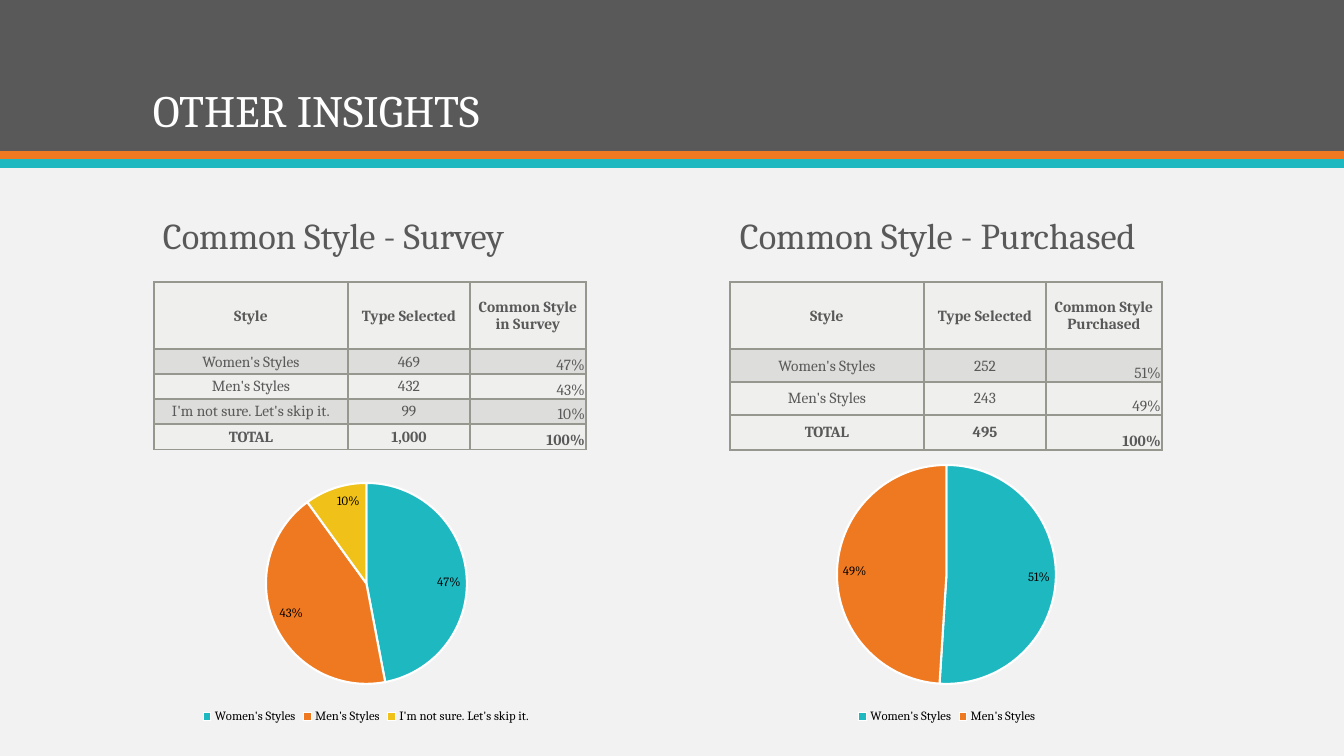
from dataclasses import dataclass

from lxml import etree
from pptx import Presentation
from pptx.chart.data import CategoryChartData
from pptx.dml.color import RGBColor
from pptx.enum.chart import XL_CHART_TYPE, XL_LABEL_POSITION, XL_LEGEND_POSITION
from pptx.enum.shapes import MSO_SHAPE
from pptx.enum.text import MSO_ANCHOR, PP_ALIGN
from pptx.oxml.ns import qn
from pptx.util import Pt

PIE = XL_CHART_TYPE.PIE
INSIDE = XL_LABEL_POSITION.INSIDE_END
UNDER = XL_LEGEND_POSITION.BOTTOM
RECT = MSO_SHAPE.RECTANGLE
MIDDLE, BOTTOM = MSO_ANCHOR.MIDDLE, MSO_ANCHOR.BOTTOM
LEFT, CENTER, RIGHT = PP_ALIGN.LEFT, PP_ALIGN.CENTER, PP_ALIGN.RIGHT
SCALE = 914400 / 100.8
WIDE, HIGH = 1344, 756


@dataclass(frozen=True)
class Theme:
    font: str = "Cambria"
    back: str = "F2F2F2"
    dark: str = "595959"
    white: str = "FFFFFF"
    black: str = "000000"
    teal: str = "1EB8C1"
    orange: str = "EF7920"
    yellow: str = "EFC119"
    light: str = "EFEFEE"
    band: str = "DDDDDB"
    rule: str = "969890"
    title: int = 32
    head: int = 26
    cell: int = 11
    chart: int = 10
    label: int = 9


def px(*sizes):
    return [round(size * SCALE) for size in sizes]


def rgb(color):
    return RGBColor.from_string(color)


class Deck:
    def __init__(self, theme):
        self.theme = theme
        self.show = Presentation()
        self.show.slide_width, self.show.slide_height = px(WIDE, HIGH)
        self.slide = self.show.slides.add_slide(self.show.slide_layouts[6])
        self.shapes = self.slide.shapes
        self.paint(self.slide.background.fill, theme.back)

    def paint(self, fill, color):
        fill.solid()
        fill.fore_color.rgb = rgb(color)

    def style(self, font, size, color, bold=False):
        font.name, font.size, font.bold = self.theme.font, Pt(size), bold
        font.color.rgb = rgb(color)

    def bar(self, top, height, color):
        shape = self.shapes.add_shape(RECT, *px(0, top, WIDE, height))
        shape.shadow.inherit = False
        self.paint(shape.fill, color)
        shape.line.fill.background()

    def text(self, box, words, size, color, anchor):
        frame = self.shapes.add_textbox(*px(*box)).text_frame
        frame.word_wrap = True
        frame.vertical_anchor = anchor
        para = frame.paragraphs[0]
        para.text = words
        para.alignment = LEFT
        para.line_spacing = 0.9
        self.style(para.font, size, color)

    def edges(self, cell, top):
        props = cell._tc.get_or_add_tcPr()
        for spot, side in enumerate(("L", "R", "T", "B")):
            width = top if side == "T" else 1
            line = etree.Element(qn(f"a:ln{side}"), w=str(Pt(width)))
            fill = etree.SubElement(line, qn("a:solidFill"))
            etree.SubElement(fill, qn("a:srgbClr"), val=self.theme.rule)
            props.insert(spot, line)

    def table(self, left, top, cols, heights, rows):
        box = px(left, top, sum(cols), sum(heights))
        grid = self.shapes.add_table(len(rows), len(cols), *box).table
        grid.first_row = grid.horz_banding = False
        for col, width in zip(grid.columns, px(*cols)):
            col.width = width
        last = len(rows) - 1
        for r, (row, height) in enumerate(zip(rows, px(*heights))):
            grid.rows[r].height = height
            total = r == last
            shade = self.theme.band if r % 2 and not total else self.theme.light
            for c, words in enumerate(row):
                value = r > 0 and c == 2
                cell = grid.cell(r, c)
                cell.margin_left, cell.margin_top, cell.margin_right = px(1, 1, 1)
                cell.margin_bottom = 0
                cell.vertical_anchor = BOTTOM if value else MIDDLE
                para = cell.text_frame.paragraphs[0]
                para.text = words
                para.alignment = RIGHT if value else CENTER
                self.style(para.font, self.theme.cell, self.theme.dark, r == 0 or total)
                self.paint(cell.fill, shade)
                self.edges(cell, 2 if total else 1)

    def place(self, chart, box, disc):
        left, top, width, height = box
        x, y, size = disc
        area = chart._chartSpace.find(".//" + qn("c:plotArea"))
        for old in area.findall(qn("c:layout")):
            area.remove(old)
        layout = etree.Element(qn("c:layout"))
        manual = etree.SubElement(layout, qn("c:manualLayout"))
        parts = {
            "layoutTarget": "inner", "xMode": "edge", "yMode": "edge",
            "x": (x - left) / width, "y": (y - top) / height,
            "w": size / width, "h": size / height,
        }
        for name, value in parts.items():
            etree.SubElement(manual, qn(f"c:{name}"), val=str(value))
        area.insert(0, layout)

    def pie(self, box, disc, names, values):
        theme = self.theme
        data = CategoryChartData(number_format="0%")
        data.categories = names
        data.add_series("Series 1", values)
        chart = self.shapes.add_chart(PIE, *px(*box), data).chart
        chart.has_title = False
        self.style(chart.font, theme.chart, theme.dark)
        chart.has_legend = True
        chart.legend.position = UNDER
        chart.legend.include_in_layout = False
        self.style(chart.legend.font, theme.label, theme.black)
        plot = chart.plots[0]
        plot.vary_by_categories = True
        series = plot.series[0]
        for i, color in zip(range(len(names)), (theme.teal, theme.orange, theme.yellow)):
            look = series.points[i].format
            self.paint(look.fill, color)
            look.line.color.rgb = rgb(theme.white)
            look.line.width = Pt(1.5)
        labels = series.data_labels
        labels.show_value = True
        labels.number_format = "0%"
        labels.number_format_is_linked = False
        labels.position = INSIDE
        self.style(labels.font, theme.label, theme.black)
        self.place(chart, box, disc)


def main():
    theme = Theme()
    deck = Deck(theme)
    for top, height, color in (
        (0, 151, theme.dark), (151, 9, theme.orange), (159, 9, theme.teal),
    ):
        deck.bar(top, height, color)
    deck.text((143, 28, 1058, 114), "OTHER INSIGHTS", theme.title, theme.white, BOTTOM)

    panels = (
        ("Survey", "in Survey", 153, 154, (67, 25, 25, 25, 26),
         (("Women's Styles", "469", 0.47), ("Men's Styles", "432", 0.43),
          ("I'm not sure. Let's skip it.", "99", 0.1)),
         "1,000", (103, 451, 526, 277), (266, 483, 201)),
        ("Purchased", "Purchased", 730, 730, (67, 33, 33, 35),
         (("Women's Styles", "252", 0.51), ("Men's Styles", "243", 0.49)),
         "495", (703, 451, 488, 277), (837, 465, 219)),
    )
    for name, tail, left, edge, heights, items, total, box, disc in panels:
        deck.text((left, 191, 504, 93), f"Common Style - {name}",
                  theme.head, theme.dark, MIDDLE)
        rows = [("Style", "Type Selected", f"Common Style\n{tail}")]
        rows += [(style, count, f"{share:.0%}") for style, count, share in items]
        rows.append(("TOTAL", total, "100%"))
        deck.table(edge, 282, (194, 122, 116), heights, rows)
        names, _, shares = zip(*items)
        deck.pie(box, disc, names, shares)
    deck.show.save("out.pptx")


if __name__ == "__main__":
    main()
